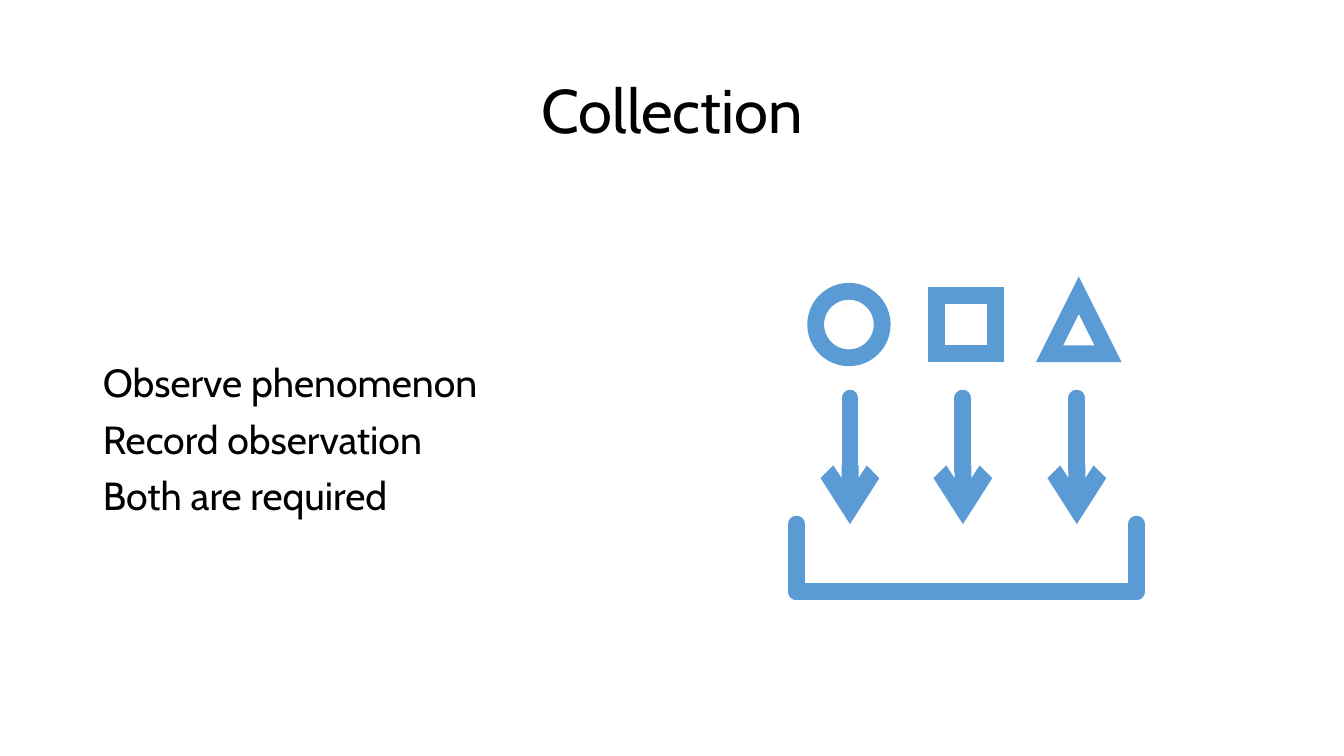
import pptx
import pptx.util
import pptx.dml.color
import pptx.enum.shapes
import pptx.enum.text
import pptx.oxml.ns
import lxml.etree

PX = 9144
FONT = "Cabin"
BLACK = pptx.dml.color.RGBColor(0x00, 0x00, 0x00)
BLUE = pptx.dml.color.RGBColor(0x5B, 0x9B, 0xD5)
SHAPE = pptx.enum.shapes.MSO_SHAPE
ALIGN = pptx.enum.text.PP_ALIGN


def px(*vals):
    """Turn px lengths into EMU."""
    return [val * PX for val in vals]


def sub(node, tag, **attrs):
    """Add a DrawingML child to a node."""
    return lxml.etree.SubElement(node, pptx.oxml.ns.qn(tag), **attrs)


def fill_text(holder, box, lines, size, align, before):
    """Place a placeholder in its box and write its lines."""
    holder.left, holder.top, holder.width, holder.height = px(*box)
    frame = holder.text_frame
    frame.word_wrap = True
    frame.auto_size = pptx.enum.text.MSO_AUTO_SIZE.NONE
    frame.vertical_anchor = pptx.enum.text.MSO_ANCHOR.MIDDLE
    for num, line in enumerate(lines):
        para = frame.add_paragraph() if num else frame.paragraphs[0]
        para.alignment = align
        para.line_spacing = 0.9
        para.space_before = pptx.util.Pt(before)
        props = para._p.get_or_add_pPr()
        props.set("marL", "0")
        props.set("indent", "0")
        sub(props, "a:buNone")
        run = para.add_run()
        run.text = line
        run.font.name = FONT
        run.font.size = pptx.util.Pt(size)
        run.font.color.rgb = BLACK


def stroke(item):
    """Give an item the thick blue line."""
    item.line.color.rgb = BLUE
    item.line.width = pptx.util.Pt(12)
    return item.line._get_or_add_ln()


def draw_line(group, start, end, arrow=False):
    """Draw a round-capped line, with or without an arrowhead."""
    kind = pptx.enum.shapes.MSO_CONNECTOR.STRAIGHT
    line = group.shapes.add_connector(kind, *px(*start, *end))
    pen = stroke(line)
    pen.set("cap", "rnd")
    if arrow:
        sub(pen, "a:tailEnd", type="arrow")
    sub(line._element.spPr, "a:effectLst")


def draw_mark(group, kind, mid, base, size):
    """Draw a hollow mark around a middle point."""
    box = px(mid - size // 2, base - size // 2, size, size)
    mark = group.shapes.add_shape(kind, *box)
    mark.shadow.inherit = False
    mark.fill.background()
    sub(stroke(mark), "a:miter", lim="800000")


def draw_icon(slide, box):
    """Draw three marks falling into an open tray."""
    left, top, width, height = box
    right, floor = left + width, top + height
    rim = floor - 67
    group = slide.shapes.add_group_shape()
    for num in range(3):
        mid = left + 53 + num * 112 + num // 2
        draw_line(group, (mid, rim - 125), (mid, rim), True)
    for side in (left, right):
        draw_line(group, (side, rim), (side, floor))
    draw_line(group, (left, floor), (right, floor))
    marks = ((SHAPE.OVAL, 52, 66), (SHAPE.RECTANGLE, 168, 58),
             (SHAPE.ISOSCELES_TRIANGLE, 280, 58))
    for kind, mid, size in marks:
        draw_mark(group, kind, left + mid, top + 34, size)


def build_slide(deck):
    """Build the slide with a title, a list and an icon."""
    slide = deck.slides.add_slide(deck.slide_layouts[1])
    title, body = slide.placeholders
    fill_text(title, (92, 40, 1150, 145), ["Collection"], 44,
              ALIGN.CENTER, 0)
    points = ["Observe phenomenon", "Record observation",
              "Both are required"]
    fill_text(body, (92, 200, 567, 476), points, 28, ALIGN.LEFT, 10)
    draw_icon(slide, (790, 288, 337, 299))


def main():
    """Make the deck and save it."""
    deck = pptx.Presentation()
    deck.slide_width, deck.slide_height = px(1333, 750)
    build_slide(deck)
    deck.save("out.pptx")


if __name__ == "__main__":
    main()
